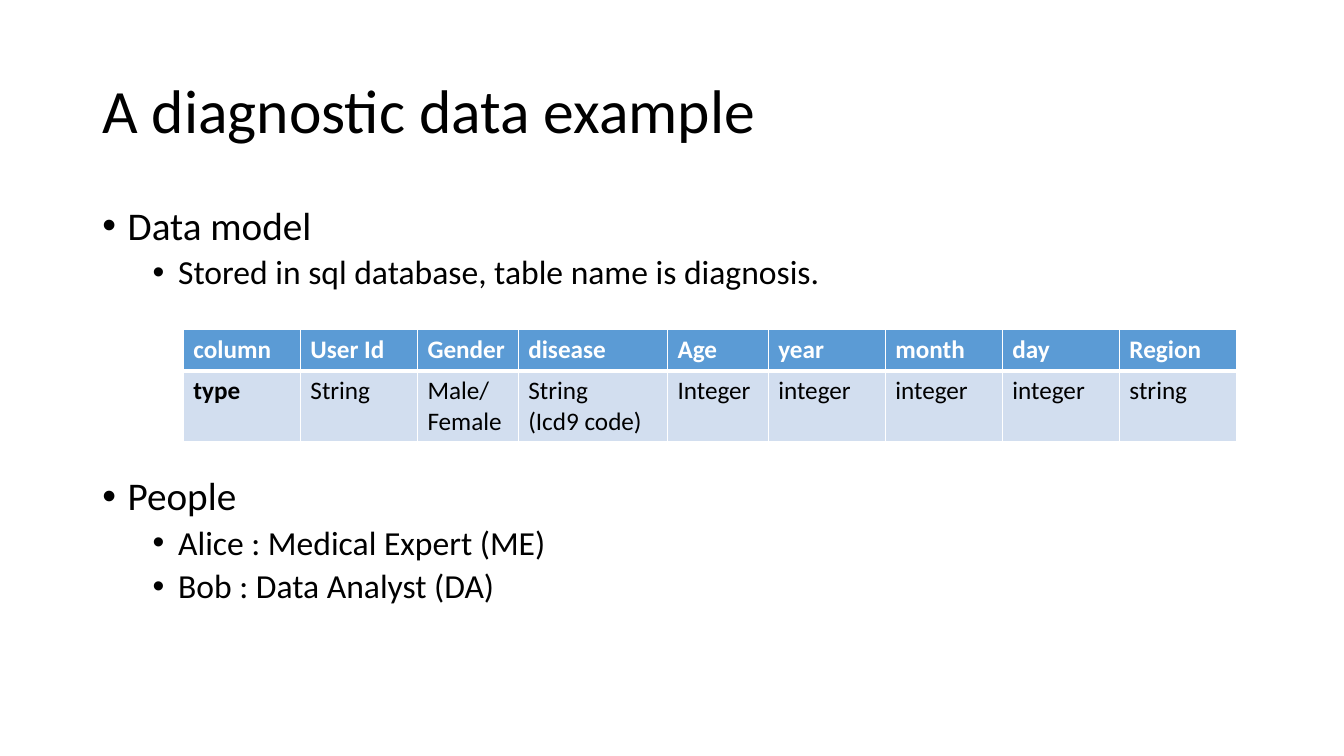
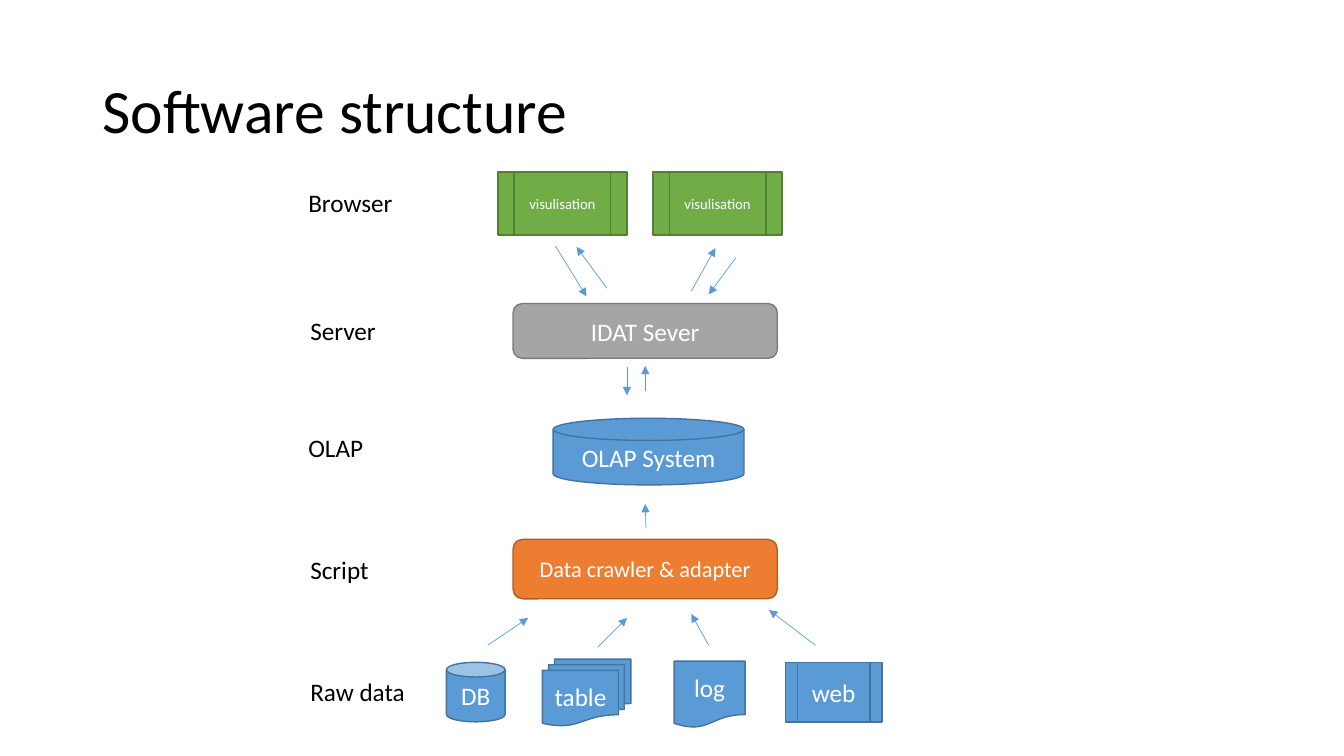
from lxml import etree
from pptx import Presentation
from pptx import util as u
from pptx.dml.color import RGBColor
from pptx.enum import shapes, text
from pptx.oxml import ns

BLACK, WHITE = "000000", "FFFFFF"
BLUE, DARK_BLUE, PALE_BLUE = "5B9BD5", "43739E", "D2DEEF"
GREEN, DARK_GREEN = "70AD47", "538035"
GREY, DARK_GREY = "A5A5A5", "7A7A7A"
ORANGE, DARK_ORANGE = "ED7D31", "AF5C24"


def rgb(value):
    return RGBColor.from_string(value)


def write(frame, words, size=18, color=BLACK, bold=False, align=text.PP_ALIGN.LEFT,
          spacing=1.0, before=0, indent=None):
    line = frame.paragraphs[0]
    if line.runs:
        line = frame.add_paragraph()
    line.alignment = align
    line.line_spacing = spacing
    line.space_before = u.Pt(before)
    if indent is not None:
        props = line._p.get_or_add_pPr()
        props.set("marL", str(u.Cm(indent)))
        props.set("indent", str(-u.Cm(0.64)))
        etree.SubElement(props, ns.qn("a:buFont"), typeface="Arial")
        etree.SubElement(props, ns.qn("a:buChar"), char="•")
    run = line.add_run()
    run.text = words
    run.font.name = "Calibri"
    run.font.size = u.Pt(size)
    run.font.bold = bold
    run.font.color.rgb = rgb(color)


deck = Presentation()
deck.slide_width, deck.slide_height = u.Cm(33.87), u.Cm(19.05)

slides = []
for heading in ("A diagnostic data example", "Software structure"):
    slide = deck.slides.add_slide(deck.slide_layouts[6])
    title = slide.shapes.add_textbox(u.Cm(2.33), u.Cm(1.01), u.Cm(29.21), u.Cm(3.68)).text_frame
    title.word_wrap = True
    title.vertical_anchor = text.MSO_ANCHOR.MIDDLE
    write(title, heading, size=44, spacing=0.9)
    slides.append(slide)
example, structure = slides

outline = example.shapes.add_textbox(u.Cm(2.33), u.Cm(5.08), u.Cm(29.21), u.Cm(12.09)).text_frame
outline.word_wrap = True
for words, size, before, indent in (
    ("Data model", 28, 10, 0.64),
    ("Stored in sql database, table name is diagnosis.", 24, 5, 1.91),
    ("People", 28, 132, 0.64),
    ("Alice : Medical Expert (ME)", 24, 5, 1.91),
    ("Bob : Data Analyst (DA)", 24, 5, 1.91),
):
    write(outline, words, size=size, spacing=0.9, before=before, indent=indent)

fields = (
    ("column", "type", 2.95),
    ("User Id", "String", 2.95),
    ("Gender", "Male/\nFemale", 2.54),
    ("disease", "String\n(Icd9 code)", 3.76),
    ("Age", "Integer", 2.54),
    ("year", "integer", 2.95),
    ("month", "integer", 2.95),
    ("day", "integer", 2.95),
    ("Region", "string", 2.95),
)
schema = example.shapes.add_table(
    2, len(fields), u.Cm(4.62), u.Cm(8.31), u.Cm(26.54), u.Cm(2.81)).table
schema.rows[0].height, schema.rows[1].height = u.Cm(1.03), u.Cm(1.78)
for col, (name, kind, width) in enumerate(fields):
    schema.columns[col].width = u.Cm(width)
    for row, words in enumerate((name, kind)):
        cell = schema.cell(row, col)
        thick = "lnT" if row else "lnB"
        for side in ("lnL", "lnR", "lnT", "lnB"):
            border = etree.SubElement(cell._tc.get_or_add_tcPr(), ns.qn("a:" + side),
                                      w=str(u.Pt(3 if side == thick else 1)))
            paint = etree.SubElement(border, ns.qn("a:solidFill"))
            etree.SubElement(paint, ns.qn("a:srgbClr"), val=WHITE)
        cell.fill.solid()
        cell.fill.fore_color.rgb = rgb(PALE_BLUE if row else BLUE)
        for part in words.split("\n"):
            write(cell.text_frame, part, color=BLACK if row else WHITE,
                  bold=row == 0 or col == 0)

kinds = shapes.MSO_SHAPE
for words, kind, left, top, width, height, fill, edge, size in (
    ("DB", kinds.CAN, 11.25, 16.69, 1.48, 1.5, BLUE, DARK_BLUE, 18),
    ("table", kinds.FLOWCHART_MULTIDOCUMENT, 13.67, 16.61, 2.23, 1.68, BLUE, DARK_BLUE, 18),
    ("web", kinds.FLOWCHART_PREDEFINED_PROCESS, 19.79, 16.69, 2.44, 1.5, BLUE, DARK_BLUE, 18),
    ("log", kinds.FLOWCHART_DOCUMENT, 16.99, 16.66, 1.79, 1.68, BLUE, DARK_BLUE, 18),
    ("IDAT Sever", kinds.ROUNDED_RECTANGLE, 12.93, 7.65, 6.66, 1.38, GREY, DARK_GREY, 18),
    ("OLAP System", kinds.FLOWCHART_MAGNETIC_DISK, 13.94, 10.54, 4.81, 1.68, BLUE, DARK_BLUE, 18),
    ("Data crawler & adapter", kinds.ROUNDED_RECTANGLE, 12.93, 13.59, 6.66, 1.5,
     ORANGE, DARK_ORANGE, 16),
    ("visulisation", kinds.FLOWCHART_PREDEFINED_PROCESS, 12.55, 4.34, 3.25, 1.58,
     GREEN, DARK_GREEN, 10.5),
    ("visulisation", kinds.FLOWCHART_PREDEFINED_PROCESS, 16.46, 4.34, 3.25, 1.58,
     GREEN, DARK_GREEN, 10.5),
):
    component = structure.shapes.add_shape(kind, u.Cm(left), u.Cm(top), u.Cm(width), u.Cm(height))
    component.shadow.inherit = False
    component.fill.solid()
    component.fill.fore_color.rgb = rgb(fill)
    component.line.color.rgb = rgb(edge)
    component.line.width = u.Pt(1)
    component.text_frame.word_wrap = True
    component.text_frame.vertical_anchor = text.MSO_ANCHOR.MIDDLE
    write(component.text_frame, words, size=size, color=WHITE, align=text.PP_ALIGN.CENTER)

for words, left, top, width in (
    ("Browser", 7.52, 4.6, 2.64),
    ("Server", 7.57, 7.82, 2.18),
    ("OLAP", 7.52, 10.77, 1.96),
    ("Script", 7.57, 13.84, 2.01),
    ("Raw data", 7.57, 16.92, 2.92),
):
    layer = structure.shapes.add_textbox(u.Cm(left), u.Cm(top), u.Cm(width), u.Cm(1.02)).text_frame
    layer.word_wrap = False
    layer.auto_size = text.MSO_AUTO_SIZE.SHAPE_TO_FIT_TEXT
    write(layer, words)

for ends in (
    (12.29, 16.26, 13.31, 15.57),
    (15.06, 16.31, 15.8, 15.57),
    (17.86, 16.26, 17.42, 15.47),
    (20.55, 16.26, 19.38, 15.37),
    (16.28, 13.31, 16.26, 12.7),
    (16.26, 9.86, 16.26, 9.22),
    (15.29, 7.26, 14.53, 6.22),
    (17.42, 7.34, 18.03, 6.25),
    (14, 6.2, 14.78, 7.47),
    (18.54, 6.5, 17.86, 7.42),
    (15.8, 9.25, 15.8, 9.96),
):
    flow = structure.shapes.add_connector(
        shapes.MSO_CONNECTOR.STRAIGHT, *(u.Cm(end) for end in ends))
    flow.line.color.rgb = rgb(BLUE)
    flow.line.width = u.Pt(0.5)
    etree.SubElement(flow.line._get_or_add_ln(), ns.qn("a:tailEnd"), type="triangle")
    etree.SubElement(flow._element.spPr, ns.qn("a:effectLst"))

deck.save("out.pptx")
